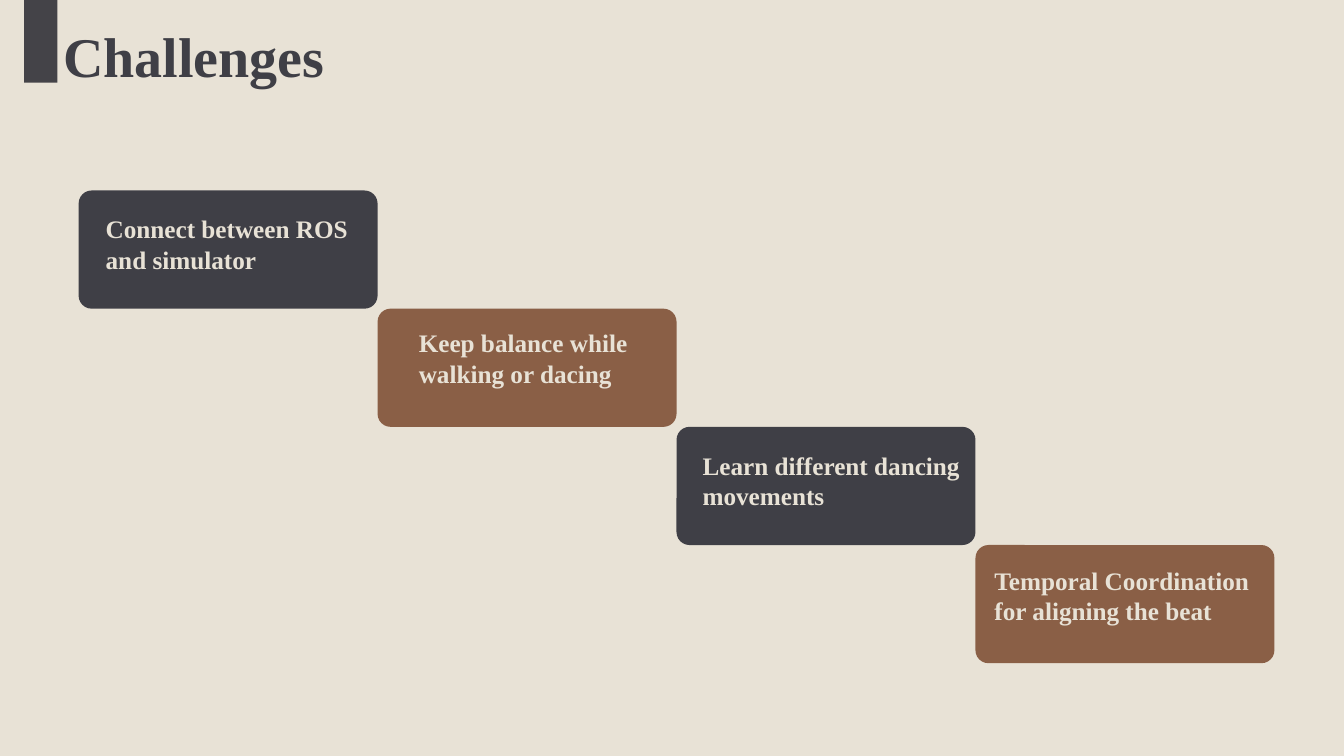
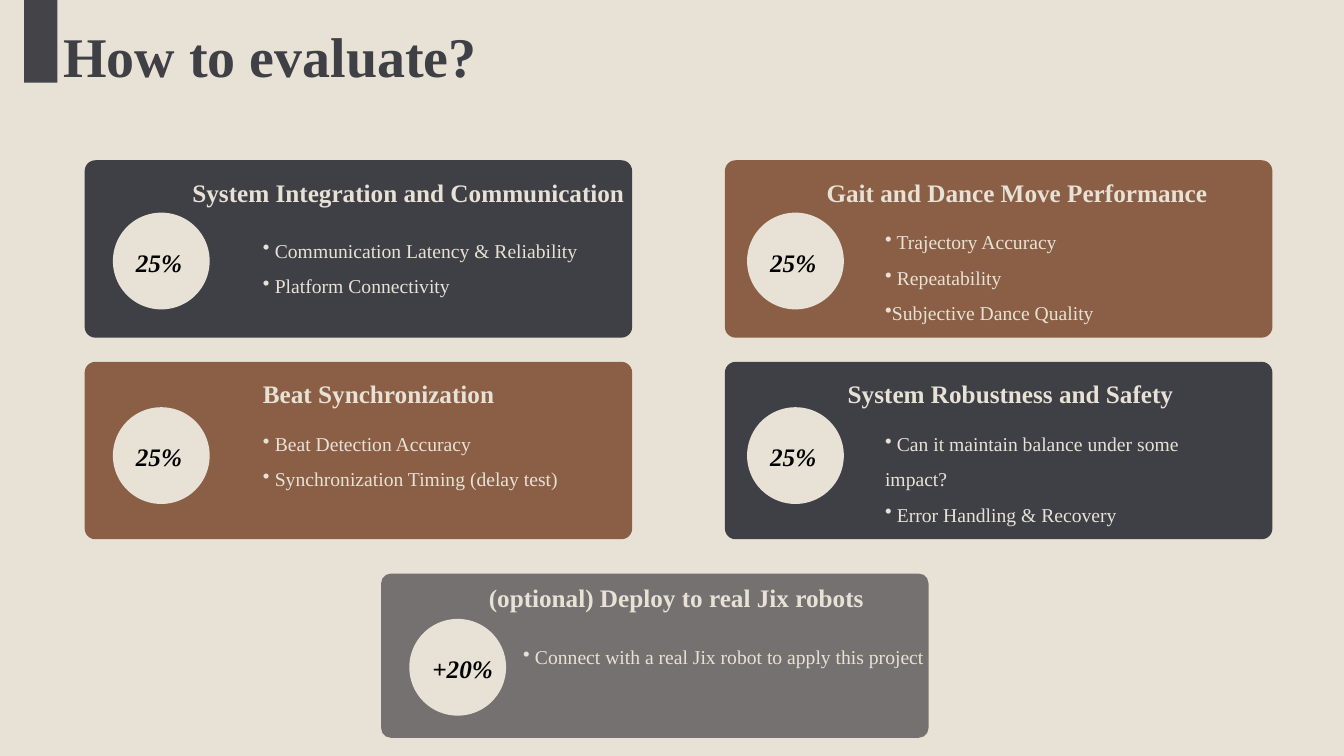
"""Build the two project slides on challenges and evaluation."""
from dataclasses import dataclass

from lxml.etree import SubElement
from pptx import Presentation
from pptx.dml.color import RGBColor as Rgb
from pptx.enum.shapes import MSO_SHAPE as Preset
from pptx.oxml.ns import qn
from pptx.slide import Slide
from pptx.util import Inches, Pt


@dataclass(frozen=True)
class Theme:
    font: str = "Times New Roman"
    paper: str = "E8E2D6"
    dark: str = "3F3F46"
    brown: str = "8A5F46"
    gray: str = "767171"
    bar: str = "444348"
    black: str = "000000"
    title: int = 40
    heading: int = 18
    body: int = 14
    spread: float = 1.5


@dataclass(frozen=True)
class Box:
    left: float
    top: float
    width: float
    height: float

    def inside(self, left: float, top: float, width: float, height: float) -> "Box":
        return Box(self.left + left, self.top + top, width, height)

    def emu(self) -> list[int]:
        return [Inches(side) for side in (self.left, self.top, self.width, self.height)]


@dataclass(frozen=True)
class Grid:
    first: Box
    column_pitch: float
    row_pitch: float

    def cell(self, column: int, row: int) -> Box:
        return self.first.inside(
            column * self.column_pitch, row * self.row_pitch,
            self.first.width, self.first.height,
        )


@dataclass(frozen=True)
class Style:
    size: int
    color: str
    bold: bool = False
    italic: bool = False
    bulleted: bool = False
    spacing: float = 1.0


@dataclass(frozen=True)
class Step:
    text: str
    color: str
    text_at: tuple[float, float]
    text_width: float


@dataclass(frozen=True)
class Card:
    box: Box
    color: str
    heading: str
    heading_at: tuple[float, float]
    share: str
    badge_at: tuple[float, float]
    points: tuple[str, ...]
    points_at: tuple[float, float]
    points_width: float = 4.0
    spacing: float = Theme.spread


THEME = Theme()
TITLE = Style(THEME.title, THEME.dark, bold=True)
HEADING = Style(THEME.heading, THEME.paper, bold=True)
SHARE = Style(THEME.heading, THEME.black, bold=True, italic=True)

PAGE_WIDTH, PAGE_HEIGHT = 13.33, 7.5
BAR_BOX = Box(0.24, 0, 0.33, 0.82)
TITLE_BOX = Box(0.53, 0.16, 5.46, 0.8)
BADGE_SIZE = 0.96

STAIR_AREA = Box(0.78, 1.89, 11.86, 4.69)
STEPS = (
    Step("Connect between ROS and simulator", THEME.dark, (0.17, 0.18), 2.63),
    Step("Keep balance while walking or dacing", THEME.brown, (0.31, 0.14), 2.92),
    Step("Learn different dancing movements", THEME.dark, (0.16, 0.18), 2.8),
    Step("Temporal Coordination for aligning the beat", THEME.brown, (0.09, 0.15), 2.8),
)

CARD_GRID = Grid(Box(0.84, 1.59, 5.43, 1.76), column_pitch=6.35, row_pitch=2.0)
CARDS = (
    Card(
        CARD_GRID.cell(0, 0), THEME.dark,
        "System Integration and Communication", (0.97, 0.12), "25%", (0.28, 0.52),
        (" Communication Latency & Reliability", " Platform Connectivity"), (1.67, 0.61),
    ),
    Card(
        CARD_GRID.cell(1, 0), THEME.brown,
        "Gait and Dance Move Performance", (0.91, 0.12), "25%", (0.22, 0.52),
        (" Trajectory Accuracy", " Repeatability", "Subjective Dance Quality"), (1.49, 0.53),
    ),
    Card(
        CARD_GRID.cell(0, 1), THEME.brown,
        "Beat Synchronization", (1.67, 0.11), "25%", (0.28, 0.45),
        (" Beat Detection Accuracy", " Synchronization Timing (delay test)"), (1.67, 0.53),
    ),
    Card(
        CARD_GRID.cell(1, 1), THEME.dark,
        "System Robustness and Safety", (1.12, 0.11), "25%", (0.22, 0.45),
        (" Can it maintain balance under some impact?", " Error Handling & Recovery"),
        (1.49, 0.53), points_width=3.76,
    ),
    Card(
        Box(3.78, 5.69, 5.43, 1.63), THEME.gray,
        "(optional) Deploy to real Jix robots", (0.97, 0.04), "+20%", (0.28, 0.45),
        (" Connect with a real Jix robot to apply this project",),
        (1.31, 0.66), points_width=4.24, spacing=1.0,
    ),
)


def add_panel(page: Slide, preset: Preset, box: Box, color: str, corner: float = 0) -> None:
    shape = page.shapes.add_shape(preset, *box.emu())
    shape.shadow.inherit = False
    shape.fill.solid()
    shape.fill.fore_color.rgb = Rgb.from_string(color)
    shape.line.fill.background()
    if corner:
        shape.adjustments[0] = corner


def add_text(page: Slide, box: Box, style: Style, *lines: str) -> None:
    frame = page.shapes.add_textbox(*box.emu()).text_frame
    frame.word_wrap = True
    for index, line in enumerate(lines):
        para = frame.add_paragraph() if index else frame.paragraphs[0]
        para.line_spacing = style.spacing
        if style.bulleted:
            SubElement(para._p.get_or_add_pPr(), qn("a:buChar")).set("char", "•")
        span = para.add_run()
        span.text = line
        span.font.name = THEME.font
        span.font.size = Pt(style.size)
        span.font.bold = style.bold
        span.font.italic = style.italic
        span.font.color.rgb = Rgb.from_string(style.color)


def add_page(deck: Presentation, title: str) -> Slide:
    page = deck.slides.add_slide(deck.slide_layouts[6])
    page.background.fill.solid()
    page.background.fill.fore_color.rgb = Rgb.from_string(THEME.paper)
    add_panel(page, Preset.RECTANGLE, BAR_BOX, THEME.bar)
    add_text(page, TITLE_BOX, TITLE, title)
    return page


def add_stairs(page: Slide) -> None:
    width = STAIR_AREA.width / len(STEPS)
    height = STAIR_AREA.height / len(STEPS)
    grid = Grid(Box(STAIR_AREA.left, STAIR_AREA.top, width, height), width, height)
    for index, step in enumerate(STEPS):
        box = grid.cell(index, index)
        add_panel(page, Preset.ROUNDED_RECTANGLE, box, step.color, corner=0.11)
        add_text(page, box.inside(*step.text_at, step.text_width, 0.67), HEADING, step.text)


def add_card(page: Slide, card: Card) -> None:
    points = Style(THEME.body, THEME.paper, bulleted=True, spacing=card.spacing)
    badge = card.box.inside(*card.badge_at, BADGE_SIZE, BADGE_SIZE)
    add_panel(page, Preset.ROUNDED_RECTANGLE, card.box, card.color, corner=0.06)
    add_panel(page, Preset.OVAL, badge, THEME.paper)
    add_text(page, badge.inside(0.13, 0.29, 0.83, 0.4), SHARE, card.share)
    add_text(page, card.box.inside(*card.heading_at, 4.7, 0.62), HEADING, card.heading)
    add_text(page, card.box.inside(*card.points_at, card.points_width, 0.96), points, *card.points)


def main() -> None:
    deck = Presentation()
    deck.slide_width, deck.slide_height = Inches(PAGE_WIDTH), Inches(PAGE_HEIGHT)
    add_stairs(add_page(deck, "Challenges"))
    evaluation = add_page(deck, "How to evaluate?")
    for card in CARDS:
        add_card(evaluation, card)
    deck.save("out.pptx")


if __name__ == "__main__":
    main()
